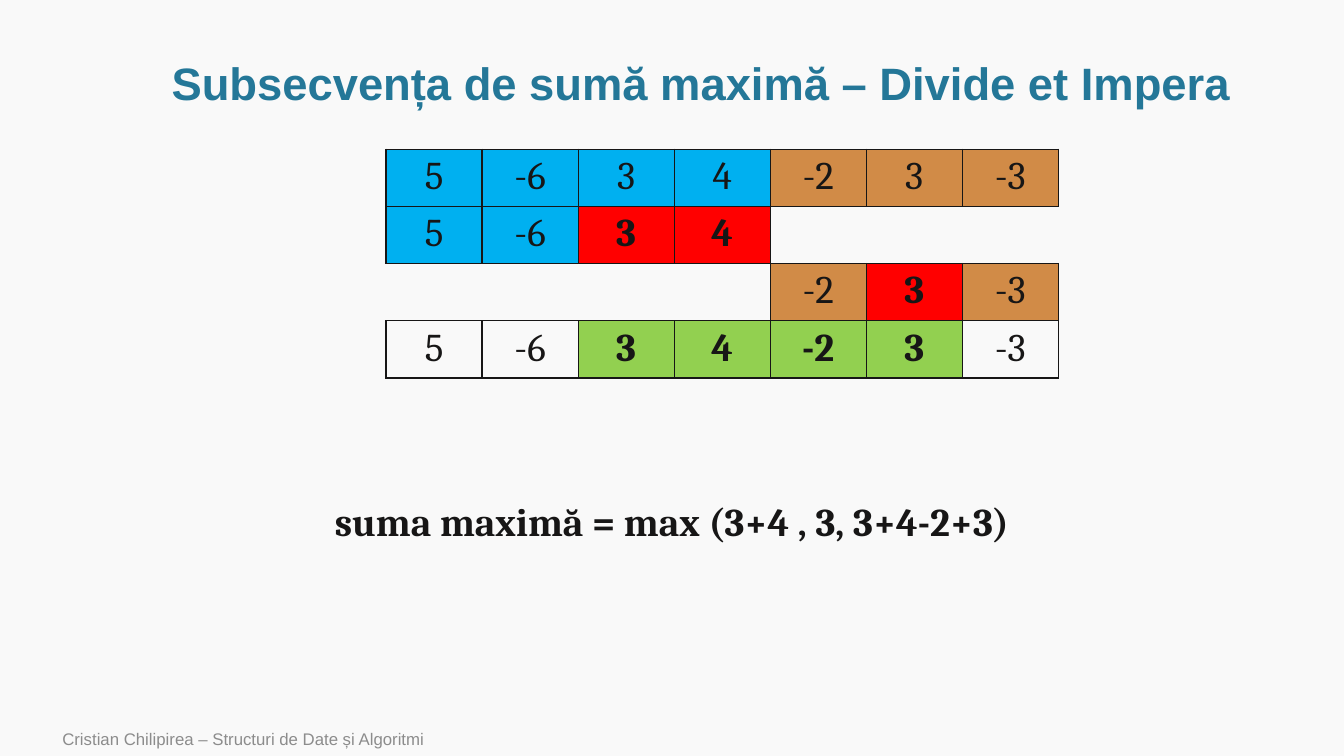
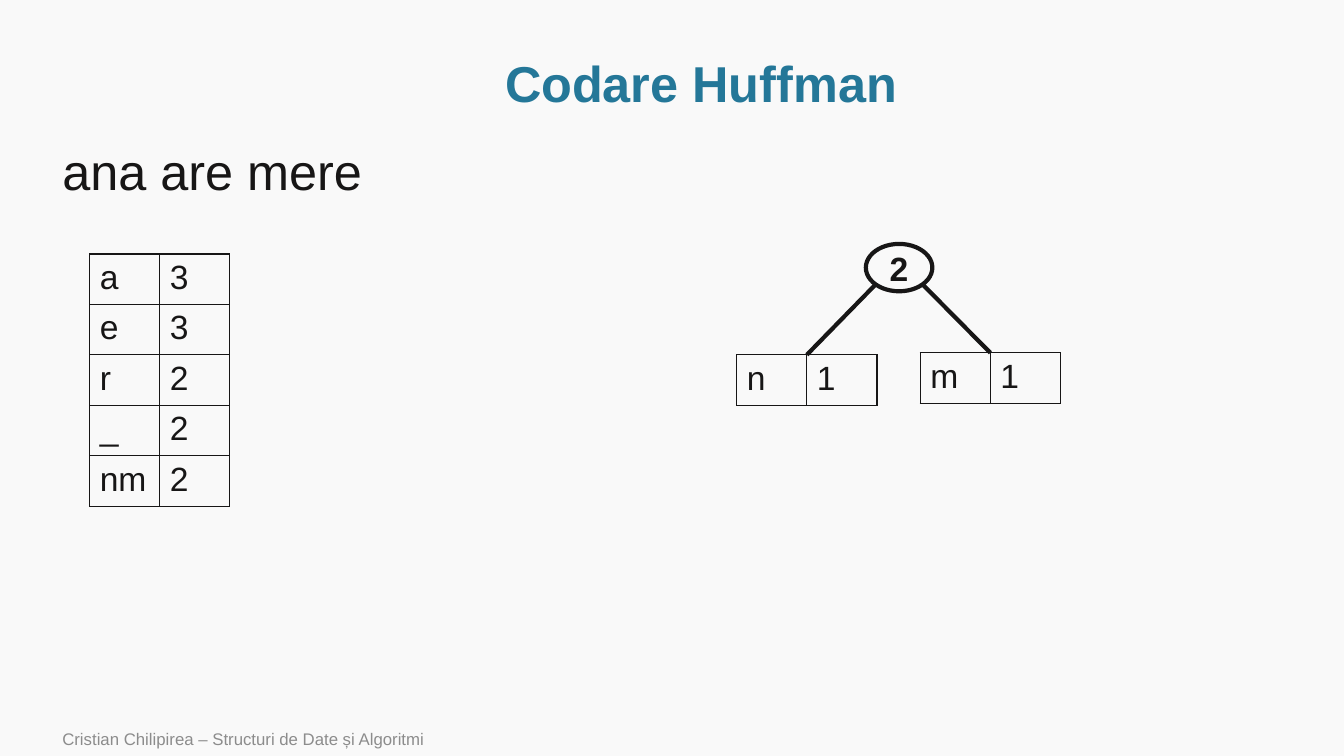
from lxml import etree
from pptx import Presentation
from pptx import util as u
from pptx.dml.color import RGBColor
from pptx.enum import shapes, text
from pptx.oxml.ns import qn

PX = 9144  # EMU in one px, 100 px to the inch

PAPER = RGBColor(0xF9, 0xF9, 0xF9)
INK = RGBColor(0x17, 0x16, 0x16)
TEAL = RGBColor(0x24, 0x77, 0x98)
GREY = RGBColor(0x8C, 0x8C, 0x8C)
BLUE = RGBColor(0x00, 0xB0, 0xF0)
OCHRE = RGBColor(0xD1, 0x8B, 0x47)
RED = RGBColor(0xFF, 0x00, 0x00)
GREEN = RGBColor(0x92, 0xD0, 0x50)

SANS, SERIF = "Arial", "Cambria"
LEFT, MID = text.PP_ALIGN.LEFT, text.PP_ALIGN.CENTER
TOP, CENTER = text.MSO_ANCHOR.TOP, text.MSO_ANCHOR.MIDDLE
PLAIN = "{2D5ABB26-0587-4C30-8999-92F81FD0307C}"
FOOTER = "Cristian Chilipirea – Structuri de Date și Algoritmi"

# One letter per cell: fill of the cell, "-" for no fill, "." for no cell
PAINT = {"B": BLUE, "O": OCHRE, "R": RED, "G": GREEN}
NUMBERS = ["5", "-6", "3", "4", "-2", "3", "-3"]
STEPS = ["BBBBOOO", "BBRR...", "....ORO", "--GGGG-"]
COUNTS = [("a", "3"), ("e", "3"), ("r", "2"), ("_", "2"), ("nm", "2")]
PAIR, ROW = 139, 47  # width and row height of a letter table


def emu(*sizes):
    return [u.Emu(round(size * PX)) for size in sizes]


def write(frame, words, size, face=SANS, color=INK, bold=False,
          align=LEFT, space=None):
    para = frame.paragraphs[0]
    para.alignment = align
    para.line_spacing = space
    run = para.add_run()
    run.text = words
    font = run.font
    font.size, font.name, font.bold = u.Pt(size), face, bold
    font.color.rgb = color


def label(slide, box, words, size, anchor=TOP, **style):
    frame = slide.shapes.add_textbox(*emu(*box)).text_frame
    frame.word_wrap = True
    frame.vertical_anchor = anchor
    write(frame, words, size, **style)


def edge(cell, sides):
    """Rule the named sides (L, R, T, B) of a table cell."""
    props = cell._tc.get_or_add_tcPr()
    for side in sides:
        line = etree.SubElement(props, qn("a:ln" + side), w=str(u.Pt(1)))
        fill = etree.SubElement(line, qn("a:solidFill"))
        etree.SubElement(fill, qn("a:srgbClr"), val=str(INK))


def table(slide, box, rows, cols):
    """Add a table without style, its columns and rows equal."""
    grid = slide.shapes.add_table(rows, cols, *emu(*box)).table
    grid.first_row = grid.horz_banding = False
    grid._tbl.tblPr.find(qn("a:tableStyleId")).text = PLAIN
    return grid


def steps(slide, box):
    grid = table(slide, box, len(STEPS), len(NUMBERS))
    for row, marks in enumerate(STEPS):
        for col, mark in enumerate(marks):
            cell = grid.cell(row, col)
            edge(cell, "TB" if mark == "." else "LRTB")
            if mark in PAINT:
                cell.fill.solid()
                cell.fill.fore_color.rgb = PAINT[mark]
            else:
                cell.fill.background()
            if mark != ".":
                write(cell.text_frame, NUMBERS[col], 28, face=SERIF,
                      bold=mark in "RG", align=MID)


def counts(slide, left, top, pairs):
    """Table of letters and how often each occurs."""
    grid = table(slide, (left, top, PAIR, ROW * len(pairs)), len(pairs), 2)
    for row, pair in enumerate(pairs):
        for col, words in enumerate(pair):
            cell = grid.cell(row, col)
            edge(cell, "LRTB")
            cell.fill.background()
            write(cell.text_frame, words, 24)


def stroke(line):
    line.color.rgb = INK
    line.width = u.Pt(3)


def branch(slide, start, end):
    link = slide.shapes.add_connector(
        shapes.MSO_CONNECTOR.STRAIGHT, *emu(*start, *end))
    stroke(link.line)
    etree.SubElement(link._element.spPr, qn("a:effectLst"))


def tree(slide, left, top):
    """Root node with two leaf tables below it."""
    wide, high = 66, 47
    root = left + 128
    node = slide.shapes.add_shape(
        shapes.MSO_SHAPE.OVAL, *emu(root, top, wide, high))
    node.shadow.inherit = False
    node.fill.background()
    stroke(node.line)
    frame = node.text_frame
    frame.margin_left = frame.margin_right = 0
    frame.margin_top = frame.margin_bottom = 0
    frame.vertical_anchor = CENTER
    write(frame, "2", 24, bold=True, align=MID)
    leaves = [("n", 0, 110, 0.15), ("m", 182, 108, 0.85)]
    for letter, across, down, part in leaves:
        x, y = left + across, top + down
        counts(slide, x, y, [(letter, "1")])
        branch(slide, (root + wide * part, top + high * 0.85),
               (x + PAIR / 2, y))


def page(deck, title, size):
    """Add a slide with the shared background, footer and title."""
    slide = deck.slides.add_slide(deck.slide_layouts[6])
    slide.background.fill.solid()
    slide.background.fill.fore_color.rgb = PAPER
    label(slide, (52, 716, 840, 34), FOOTER, 12, CENTER, color=GREY)
    label(slide, (114, 51, 1163, 69), title, size, CENTER,
          color=TEAL, bold=True, align=MID, space=0.9)
    return slide


def main():
    deck = Presentation()
    deck.slide_width, deck.slide_height = u.Emu(12192000), u.Emu(6858000)

    slide = page(deck, "Subsecvența de sumă maximă – Divide et Impera", 32.4)
    steps(slide, (383, 148, 667, 219))
    label(slide, (236, 488, 861, 57), "suma maximă = max (3+4 , 3, 3+4-2+3)",
          28, face=SERIF, bold=True, align=MID)

    slide = page(deck, "Codare Huffman", 36)
    label(slide, (52, 141, 1225, 548), "ana are mere", 36, space=0.9)
    counts(slide, 89, 252, COUNTS)
    tree(slide, 731, 242)

    deck.save("out.pptx")


if __name__ == "__main__":
    main()
